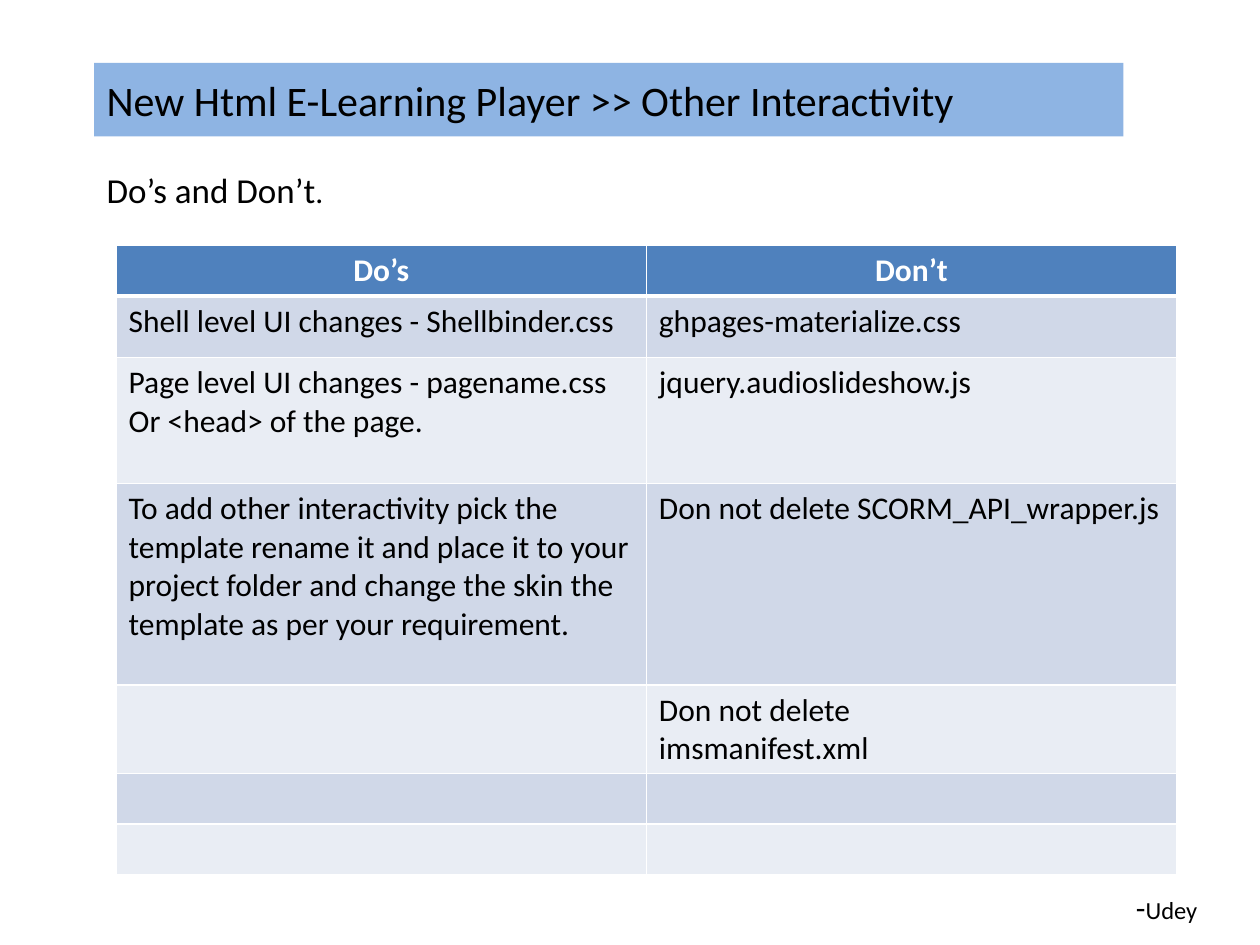
from lxml import etree
from pptx import Presentation
from pptx.dml.color import RGBColor
from pptx.enum.shapes import MSO_SHAPE
from pptx.enum.text import MSO_ANCHOR, PP_ALIGN
from pptx.oxml.ns import qn
from pptx.util import Cm, Pt

RECTANGLE = MSO_SHAPE.RECTANGLE
MIDDLE = MSO_ANCHOR.MIDDLE
LEFT, CENTER = PP_ALIGN.LEFT, PP_ALIGN.CENTER

COLORS = {
    "text": "000000",
    "white": "FFFFFF",
    "banner": "8EB4E3",
    "header": "4F81BD",
    "odd": "D0D8E8",
    "even": "E9EDF4",
}
ROWS = [
    ("Do’s", "Don’t"),
    ("Shell level UI changes - Shellbinder.css", "ghpages-materialize.css"),
    ("Page level UI changes - pagename.css\nOr <head> of the page.",
     "jquery.audioslideshow.js"),
    ("To add other interactivity pick the template rename it and place it to "
     "your project folder and change the skin the template as per your "
     "requirement.", "Don not delete SCORM_API_wrapper.js"),
    ("", "Don not delete\nimsmanifest.xml"),
    ("", ""),
    ("", ""),
]
ROW_HEIGHTS = [1.02, 1.24, 2.54, 4.06, 1.78, 1.02, 1.02]


class SlideBuilder:
    """Draw styled elements on the current slide."""

    def __init__(self, page, font="Calibri"):
        self.page = page
        self.font = font

    def color(self, name):
        return RGBColor.from_string(COLORS[name])

    def style(self, para, size, color="text", bold=False, align=LEFT):
        para.alignment = align
        para.font.name = self.font
        para.font.size = Pt(size)
        para.font.bold = bold
        para.font.color.rgb = self.color(color)

    def banner(self, text, left, top, width, height, size):
        box = self.page.shapes.add_shape(
            RECTANGLE, Cm(left), Cm(top), Cm(width), Cm(height))
        box.shadow.inherit = False
        box.fill.solid()
        box.fill.fore_color.rgb = self.color("banner")
        box.line.fill.background()
        frame = box.text_frame
        frame.word_wrap = True
        frame.vertical_anchor = MIDDLE
        frame.text = text
        self.style(frame.paragraphs[0], size)

    def text(self, spans, left, top, width, height):
        box = self.page.shapes.add_textbox(
            Cm(left), Cm(top), Cm(width), Cm(height))
        box.text_frame.word_wrap = True
        para = box.text_frame.paragraphs[0]
        self.style(para, spans[0][1])
        for words, size in spans:
            span = para.add_run()
            span.text = words
            span.font.size = Pt(size)

    def borders(self, cell, bottom):
        properties = cell._tc.get_or_add_tcPr()
        for side, width in zip("LRTB", (1, 1, 1, bottom)):
            line = etree.SubElement(
                properties, qn(f"a:ln{side}"), w=str(Pt(width)))
            fill = etree.SubElement(line, qn("a:solidFill"))
            etree.SubElement(fill, qn("a:srgbClr"), val=COLORS["white"])

    def cell(self, cell, text, row):
        header = row == 0
        self.borders(cell, 3 if header else 1)
        cell.fill.solid()
        band = "header" if header else "odd" if row % 2 else "even"
        cell.fill.fore_color.rgb = self.color(band)
        cell.text = text
        for para in cell.text_frame.paragraphs:
            self.style(para, 18, "white" if header else "text", header,
                       CENTER if header else LEFT)

    def table(self, rows, heights, left, top, width):
        table = self.page.shapes.add_table(
            len(rows), len(rows[0]), Cm(left), Cm(top), Cm(width),
            Cm(sum(heights))).table
        for row, (texts, height) in enumerate(zip(rows, heights)):
            table.rows[row].height = Cm(height)
            for column, text in enumerate(texts):
                self.cell(table.cell(row, column), text, row)


def main():
    deck = Presentation()
    deck.slide_width, deck.slide_height = Cm(25.4), Cm(19.05)
    builder = SlideBuilder(deck.slides.add_slide(deck.slide_layouts[6]))
    builder.banner("New Html E-Learning Player >> Other Interactivity",
                   1.9, 1.27, 20.75, 1.48, 24)
    builder.text([("Do’s and Don’t", 20), (".", 18)], 1.9, 3.28, 21.17, 1.88)
    builder.text([("-", 18), ("Udey", 14)], 22.65, 17.78, 2.1, 1.03)
    builder.table(ROWS, ROW_HEIGHTS, 2.34, 4.95, 21.38)
    deck.save("out.pptx")


if __name__ == "__main__":
    main()
